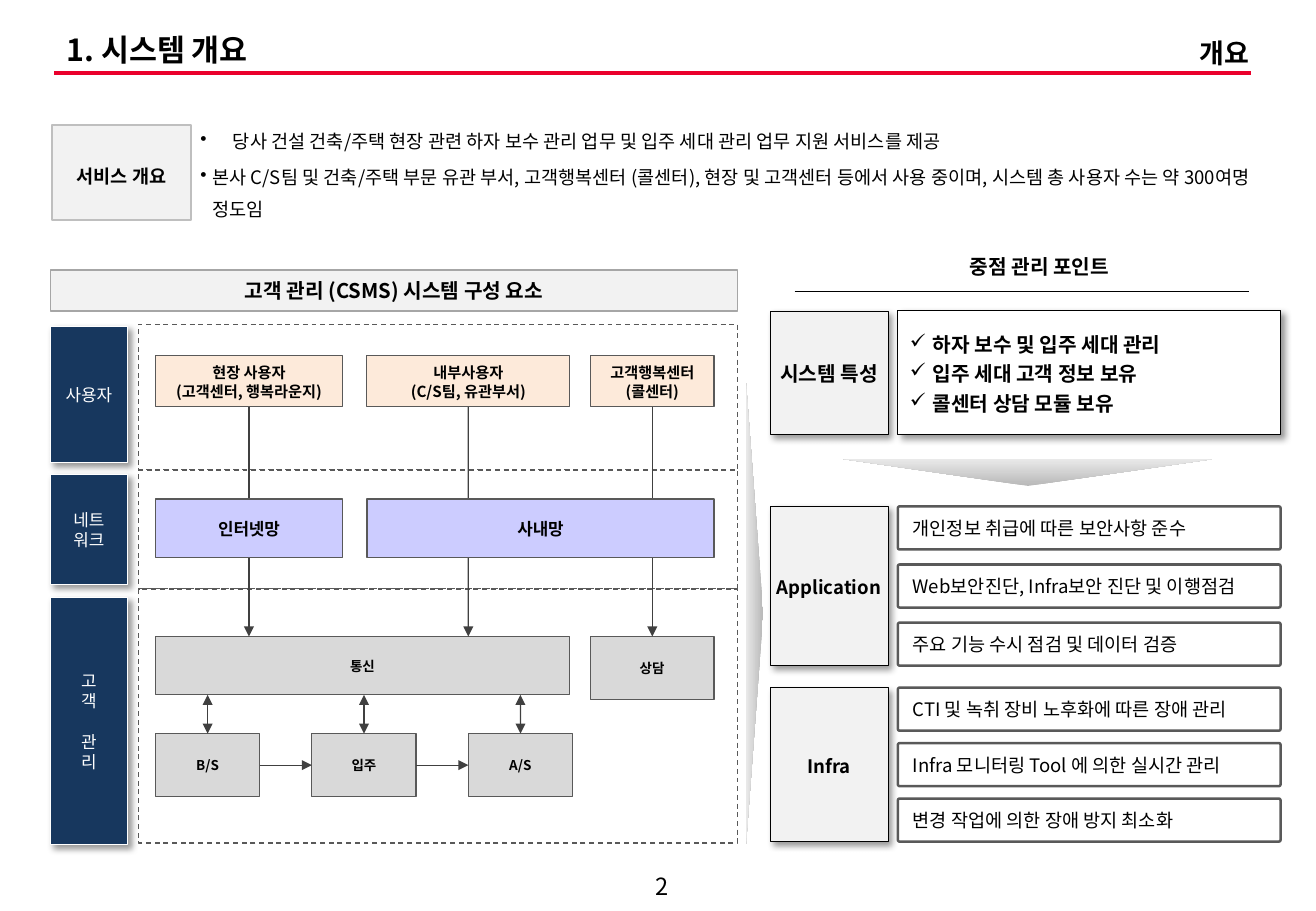
from typing import NamedTuple

from lxml.etree import SubElement
from pptx import Presentation
from pptx.dml.color import RGBColor
from pptx.enum.dml import MSO_LINE
from pptx.enum.shapes import MSO_CONNECTOR as Link, MSO_SHAPE as Geometry
from pptx.enum.text import MSO_ANCHOR as Anchor, PP_ALIGN as Align
from pptx.oxml.ns import qn
from pptx.util import Cm, Pt

FONT = "Noto Sans CJK KR"
BLACK = RGBColor(0x00, 0x00, 0x00)
WHITE = RGBColor(0xFF, 0xFF, 0xFF)
RED = RGBColor(0xEA, 0x00, 0x2C)
NAVY = RGBColor(0x17, 0x37, 0x5E)
PEACH = RGBColor(0xFD, 0xEA, 0xDA)
LILAC = RGBColor(0xCC, 0xCC, 0xFF)
PALE = RGBColor(0xF2, 0xF2, 0xF2)
LIGHT = RGBColor(0xD9, 0xD9, 0xD9)
SILVER = RGBColor(0xBF, 0xBF, 0xBF)
GRAY = RGBColor(0xA6, 0xA6, 0xA6)
DARK = RGBColor(0x59, 0x59, 0x59)
ARROW = RGBColor(0x40, 0x40, 0x40)
FADE = (RGBColor(0xB8, 0xB8, 0xB8), RGBColor(0xE9, 0xE9, 0xE9))

TIGHT = (0, 0.13, 0, 0.13)
NORMAL = (0.25, 0.13, 0.25, 0.13)


class Box(NamedTuple):
    left: float
    top: float
    width: float
    height: float

    def inside(self, left, top, width, height):
        return Box(self.left + left, self.top + top, width, height)

    def lengths(self):
        return [Cm(value) for value in self]


def set_values(target, values):
    for name, value in values.items():
        setattr(target, name, value)


def write(shape, lines, size, bold=False, color=BLACK, inset=NORMAL, wrap=True,
          anchor=Anchor.MIDDLE, **paragraph_format):
    frame = shape.text_frame
    sides = ("margin_left", "margin_top", "margin_right", "margin_bottom")
    set_values(frame, {"word_wrap": wrap, "vertical_anchor": anchor,
                       **dict(zip(sides, map(Cm, inset)))})
    for index, line in enumerate(lines):
        para = frame.add_paragraph() if index else frame.paragraphs[0]
        set_values(para, {"alignment": Align.CENTER, **paragraph_format})
        span = para.add_run()
        span.text = line
        set_values(span.font, {"size": Pt(size), "bold": bold, "name": FONT})
        span.font.color.rgb = color
        SubElement(span.font._element, qn("a:ea"), typeface=FONT)
    return frame.paragraphs


def add_bullet(para, mark, indent):
    properties = para._p.get_or_add_pPr()
    properties.set("marL", str(Cm(indent)))
    properties.set("indent", str(-Cm(indent)))
    SubElement(properties, qn("a:buChar"), char=mark)


def add_panel(page, box, fill, line=None, width=0.75, geometry=Geometry.RECTANGLE):
    panel = page.shapes.add_shape(geometry, *box.lengths())
    panel.shadow.inherit = False
    panel.fill.solid()
    panel.fill.fore_color.rgb = fill
    if line is None:
        panel.line.fill.background()
    else:
        panel.line.color.rgb = line
        panel.line.width = Pt(width)
    return panel


def add_shadow(shape):
    effects = shape._element.spPr.find(qn("a:effectLst"))
    shadow = SubElement(effects, qn("a:outerShdw"), blurRad=str(Pt(4)), dist=str(Pt(3)),
                        dir="2700000", algn="tl", rotWithShape="0")
    color = SubElement(shadow, qn("a:srgbClr"), val="000000")
    SubElement(color, qn("a:alpha"), val="40000")


def add_line(page, start, end, color=ARROW, width=0.75, heads=()):
    line = page.shapes.add_connector(Link.STRAIGHT, *map(Cm, (*start, *end)))
    line.line.color.rgb = color
    line.line.width = Pt(width)
    properties = line._element.spPr
    for head in heads:
        SubElement(properties.find(qn("a:ln")), qn(head), type="triangle")
    SubElement(properties, qn("a:effectLst"))
    return line


def add_wedge(page, box, rotation):
    wedge = add_panel(page, box, FADE[0], geometry=Geometry.ISOSCELES_TRIANGLE)
    wedge.rotation = rotation
    wedge.fill.gradient()
    wedge.fill.gradient_angle = 270
    for stop, color in zip(wedge.fill.gradient_stops, FADE):
        stop.color.rgb = color


def add_label(page, box, lines, size, **text_format):
    label = page.shapes.add_textbox(*box.lengths())
    return write(label, lines, size, **text_format)


def draw_header(page, box):
    add_line(page, (box.left, box.top + 0.91), (box.left + box.width, box.top + 0.91),
             RED, 2.25)
    add_label(page, box.inside(0, 0, 20.4, 0.94), ["1. 시스템 개요"], 18, bold=True,
              alignment=Align.LEFT, line_spacing=0.9)
    add_label(page, box.inside(22.02, 0.03, 3.2, 0.94), ["개요"], 16, bold=True,
              alignment=Align.RIGHT, anchor=Anchor.TOP)


def draw_overview(page, box):
    name = add_panel(page, box.inside(0, 0, 2.9, box.height), PALE, SILVER, 1)
    write(name, ["서비스 개요"], 11, bold=True, wrap=False, line_spacing=1.35)
    paras = add_label(page, box.inside(2.85, -0.1, box.width - 2.85, 2.26), [
        "당사 건설 건축/주택 현장 관련 하자 보수 관리 업무 및 입주 세대 관리 업무 지원 서비스를 제공",
        "본사 C/S팀 및 건축/주택 부문 유관 부서, 고객행복센터 (콜센터), 현장 및 고객센터 등에서 "
        "사용 중이며, 시스템 총 사용자 수는 약 300여명 정도임",
    ], 11, alignment=Align.LEFT, anchor=Anchor.TOP)
    for para, indent, spacing in zip(paras, (0.68, 0.25), (15, 18.7)):
        para.line_spacing = Pt(spacing)
        add_bullet(para, "•", indent)
    paras[0].space_after = Pt(3)


def draw_diagram(page, box):
    def node(left, top, width, height, lines, size, fill, line_width=0.75):
        panel = add_panel(page, box.inside(left, top, width, height), fill, DARK, line_width)
        spacing = Pt(11.25) if len(lines) > 1 else None
        write(panel, lines, size, bold=True, inset=TIGHT, line_spacing=spacing)
        return panel

    title = add_panel(page, box.inside(0, 0, box.width, 0.86), PALE, GRAY, 1)
    write(title, ["고객 관리 (CSMS) 시스템 구성 요소"], 12, bold=True, wrap=False)

    layers = [(1.14, 3.05, 1.19, 2.84, ["사용자"]),
              (4.19, 2.49, 4.29, 2.29, ["네트", "워크"]),
              (6.68, 5.31, 6.86, 5.16, ["고", "객", "관", "리"])]
    for top, height, label_top, label_height, lines in layers:
        layer = add_panel(page, box.inside(1.84, top, 12.52, height), WHITE, DARK)
        layer.line.dash_style = MSO_LINE.DASH
        label = add_panel(page, box.inside(0, label_top, 1.6, label_height), NAVY, WHITE)
        add_shadow(label)
        paras = write(label, lines, 10, color=WHITE, inset=(0.1, 0.13, 0.1, 0.13),
                      line_spacing=Pt(12))
    paras[2].space_before = Pt(12)

    columns = [(2.19, 3.91), (6.61, 4.24), (11.28, 2.59)]
    audiences = [["현장 사용자", "(고객센터, 행복라운지)"],
                 ["내부사용자", "(C/S팀, 유관부서)"],
                 ["고객행복센터", "(콜센터)"]]
    users = [node(left, 1.8, width, 1.07, lines, 9, PEACH)
             for (left, width), lines in zip(columns, audiences)]
    node(2.19, 7.67, 8.66, 1.22, ["통신"], 8, LIGHT)
    consulting = node(11.28, 7.67, 2.59, 1.32, ["상담"], 8, LIGHT)

    for user, (left, width) in zip(users, columns):
        middle = box.left + left + width / 2
        flow = add_line(page, (middle, box.top + 2.87), (middle, box.top + 7.67),
                        heads=["a:tailEnd"])
        flow.begin_connect(user, 2)
    flow.end_connect(consulting, 0)

    for left, width, name in [(2.19, 3.91, "인터넷망"), (6.61, 7.26, "사내망")]:
        node(left, 4.8, width, 1.22, [name], 10, LILAC, 1)

    tasks = [node(2.19 + 3.27 * index, 9.7, 2.18, 1.32, [name], 8, LIGHT)
             for index, name in enumerate(["B/S", "입주", "A/S"])]
    for index, task in enumerate(tasks):
        middle = box.left + 3.28 + 3.27 * index
        exchange = add_line(page, (middle, box.top + 8.89), (middle, box.top + 9.7),
                            heads=["a:headEnd", "a:tailEnd"])
        exchange.end_connect(task, 0)
    for task, following in zip(tasks, tasks[1:]):
        step = add_line(page, (0, 0), (1, 1), heads=["a:tailEnd"])
        step.begin_connect(task, 3)
        step.end_connect(following, 1)

    add_wedge(page, box.inside(9.89, 7.01, 9.65, 0.36), 90)


def draw_points(page, box):
    def topic(top, height, name, size):
        panel = add_panel(page, box.inside(0, top, 2.46, height), PALE, BLACK, 0.25)
        add_shadow(panel)
        write(panel, [name], size, bold=True, wrap=False, line_spacing=1.1)

    heading = add_panel(page, box.inside(1.15, 0, 8.86, 1.07), WHITE)
    write(heading, ["중점 관리 포인트"], 12, bold=True, inset=(0.1, 0.13, 0, 0.13))
    add_line(page, (box.left + 0.51, box.top + 1.07), (box.left + 10.01, box.top + 1.07),
             BLACK)

    topic(1.47, 2.59, "시스템 특성", 12)
    traits = add_panel(page, box.inside(2.67, 1.47, 8, 2.59), WHITE, BLACK)
    add_shadow(traits)
    for para in write(traits, ["하자 보수 및 입주 세대 관리", "입주 세대 고객 정보 보유",
                               "콜센터 상담 모듈 보유"], 12, bold=True,
                      inset=(0.25, 0.13, 0.25, 0.2), alignment=Align.LEFT,
                      line_spacing=Pt(17.5)):
        add_bullet(para, "✓", 0.48)
    add_wedge(page, box.inside(1.53, 4.57, 7.72, 0.56), 180)

    groups = [("Application", 5.56, 3.33, ["개인정보 취급에 따른 보안사항 준수",
                                           "Web보안진단, Infra보안 진단 및 이행점검",
                                           "주요 기능 수시 점검 및 데이터 검증"]),
              ("Infra", 9.35, 3.22, ["CTI 및 녹취 장비 노후화에 따른 장애 관리",
                                     "Infra 모니터링 Tool 에 의한 실시간 관리",
                                     "변경 작업에 의한 장애 방지 최소화"])]
    for name, top, height, points in groups:
        topic(top, height, name, 11)
        pitch = (height - 0.9) / (len(points) - 1)
        for index, point in enumerate(points):
            row = add_panel(page, box.inside(2.67, top + index * pitch, 8, 0.9), WHITE, DARK,
                            1.5, Geometry.ROUNDED_RECTANGLE)
            row.adjustments[0] = 0.04
            write(row, [point], 11, inset=(0.3, 0.1, 0.2, 0.1), alignment=Align.LEFT)


def main():
    deck = Presentation()
    deck.slide_width, deck.slide_height = Cm(27.51), Cm(19.05)
    page = deck.slides.add_slide(deck.slide_layouts[6])
    draw_header(page, Box(1.14, 0.61, 25.02, 0.94))
    draw_overview(page, Box(1.09, 2.62, 25.81, 1.98))
    draw_diagram(page, Box(1.06, 5.64, 14.36, 11.99))
    draw_points(page, Box(16.1, 5.03, 10.67, 12.57))
    add_label(page, Box(12.95, 18.14, 1.8, 0.79), ["2"], 14)
    deck.save("out.pptx")


if __name__ == "__main__":
    main()
